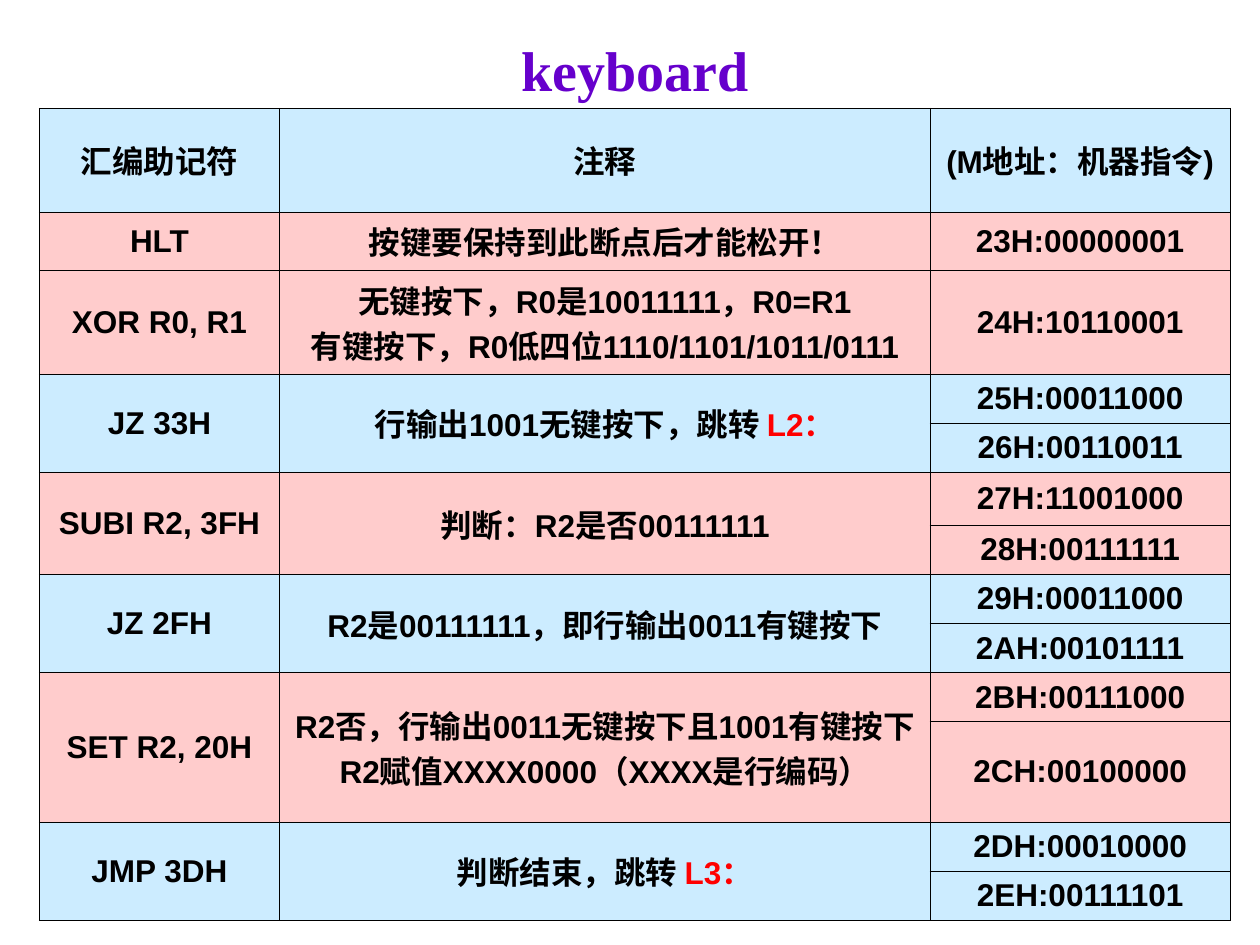
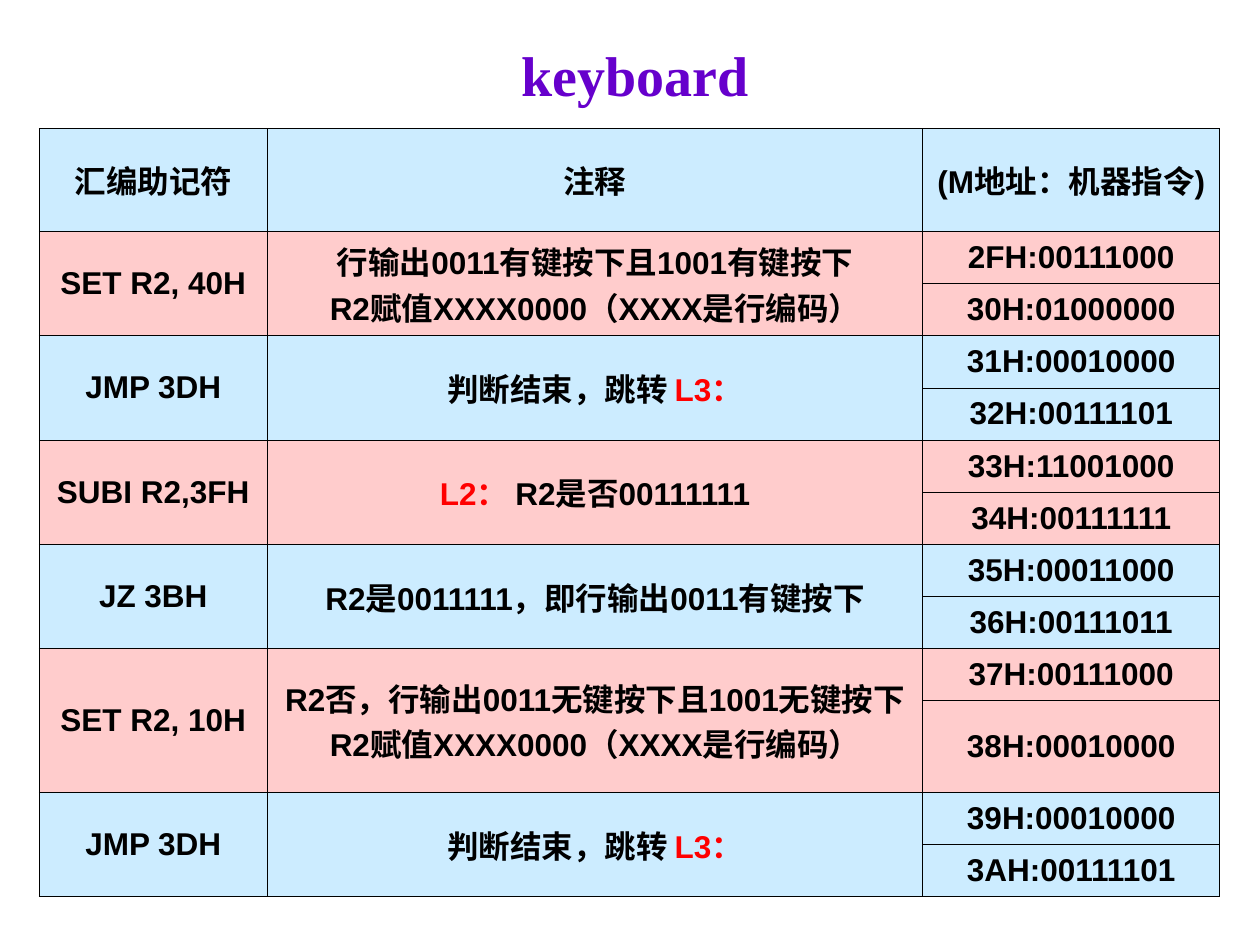
from dataclasses import dataclass, field
from typing import Any, NamedTuple

from lxml import etree
from pptx import Presentation
from pptx import util as u
from pptx.dml.color import RGBColor
from pptx.enum import text
from pptx.oxml import ns

BLACK = RGBColor(0x00, 0x00, 0x00)
RED = RGBColor(0xFF, 0x00, 0x00)
PURPLE = RGBColor(0x66, 0x00, 0xCC)
BLUE = RGBColor(0xCC, 0xEC, 0xFF)
PINK = RGBColor(0xFF, 0xCC, 0xCC)

TITLE_FONT = {"name": "Times New Roman", "size": u.Pt(32), "bold": True}
CODE_FONT = {"name": "Arial", "size": u.Pt(18), "bold": True}
TITLE_FRAME = {"word_wrap": True, "vertical_anchor": text.MSO_ANCHOR.MIDDLE}
PLAIN_TABLE = {"first_row": False, "horz_banding": False}
HANGING = {"marL": u.Cm(0.95), "indent": -u.Cm(0.95)}
BORDER_WIDTH = u.Pt(0.45)
LEFT = u.Cm(0.79)


class Span(NamedTuple):
    words: str
    color: RGBColor = BLACK


Line = tuple[Span, ...]


class Step(NamedTuple):
    mnemonic: str
    note: tuple[Line, ...]
    codes: tuple[str, ...]
    fill: RGBColor


@dataclass
class Listing:
    title_height: float
    top: float
    widths: tuple[float, ...]
    row_height: float
    steps: tuple[Step, ...]
    special_heights: dict[int, float] = field(default_factory=dict)


def plain(*lines: str) -> tuple[Line, ...]:
    return tuple((Span(line),) for line in lines)


HEADER = Step("汇编助记符", plain("注释"), ("(M地址：机器指令)",), BLUE)
FINISHED = ((Span("判断结束，跳转 "), Span("L3：", RED)),)
ASSIGN = "R2赋值XXXX0000（XXXX是行编码）"

LISTINGS = (
    Listing(
        title_height=1.19,
        top=2.18,
        widths=(4.85, 13.11, 6.05),
        row_height=0.99,
        special_heights={0: 2.08, 1: 1.17, 2: 2.08, 5: 1.07, 10: 1.83},
        steps=(
            HEADER,
            Step("HLT", plain("按键要保持到此断点后才能松开！"), ("23H:00000001",), PINK),
            Step("XOR R0, R1",
                 plain("无键按下，R0是10011111，R0=R1",
                       "有键按下，R0低四位1110/1101/1011/0111"),
                 ("24H:10110001",), PINK),
            Step("JZ 33H",
                 ((Span("行输出1001无键按下，跳转 "), Span("L2：", RED)),),
                 ("25H:00011000", "26H:00110011"), BLUE),
            Step("SUBI R2, 3FH", plain("判断：R2是否00111111"),
                 ("27H:11001000", "28H:00111111"), PINK),
            Step("JZ 2FH", plain("R2是00111111，即行输出0011有键按下"),
                 ("29H:00011000", "2AH:00101111"), BLUE),
            Step("SET R2, 20H",
                 plain("R2否，行输出0011无键按下且1001有键按下", ASSIGN),
                 ("2BH:00111000", "2CH:00100000"), PINK),
            Step("JMP 3DH", FINISHED, ("2DH:00010000", "2EH:00111101"), BLUE),
        ),
    ),
    Listing(
        title_height=1.4,
        top=2.59,
        widths=(4.6, 13.21, 5.99),
        row_height=1.05,
        special_heights={0: 2.08, 10: 1.85},
        steps=(
            HEADER,
            Step("SET R2, 40H",
                 plain("行输出0011有键按下且1001有键按下", ASSIGN),
                 ("2FH:00111000", "30H:01000000"), PINK),
            Step("JMP 3DH", FINISHED, ("31H:00010000", "32H:00111101"), BLUE),
            Step("SUBI R2,3FH",
                 ((Span("L2： ", RED), Span("R2是否00111111")),),
                 ("33H:11001000", "34H:00111111"), PINK),
            Step("JZ 3BH", plain("R2是0011111，即行输出0011有键按下"),
                 ("35H:00011000", "36H:00111011"), BLUE),
            Step("SET R2, 10H",
                 plain("R2否，行输出0011无键按下且1001无键按下", ASSIGN),
                 ("37H:00111000", "38H:00010000"), PINK),
            Step("JMP 3DH", FINISHED, ("39H:00010000", "3AH:00111101"), BLUE),
        ),
    ),
)


def apply(target: Any, values: dict[str, Any]) -> None:
    for name, value in values.items():
        setattr(target, name, value)


def write(frame: Any, lines: tuple[Line, ...], font: dict[str, Any]) -> None:
    for number, line in enumerate(lines):
        paragraph = frame.add_paragraph() if number else frame.paragraphs[0]
        paragraph.alignment = text.PP_ALIGN.CENTER
        for span in line:
            run = paragraph.add_run()
            run.text = span.words
            apply(run.font, font)
            run.font.color.rgb = span.color


def indent(frame: Any) -> None:
    for paragraph in frame.paragraphs:
        properties = paragraph._p.get_or_add_pPr()
        for name, length in HANGING.items():
            properties.set(name, str(length))


def style_cell(cell: Any, fill: RGBColor) -> None:
    properties = cell._tc.get_or_add_tcPr()
    for side in ("lnL", "lnR", "lnT", "lnB"):
        border = etree.SubElement(properties, ns.qn(f"a:{side}"), w=str(BORDER_WIDTH))
        solid = etree.SubElement(border, ns.qn("a:solidFill"))
        etree.SubElement(solid, ns.qn("a:srgbClr"), val=str(BLACK))
    cell.fill.solid()
    cell.fill.fore_color.rgb = fill
    cell.vertical_anchor = text.MSO_ANCHOR.MIDDLE


def fill_cell(cell: Any, lines: tuple[Line, ...]) -> None:
    write(cell.text_frame, lines, CODE_FONT)
    indent(cell.text_frame)


def draw_title(slide: Any, height: float) -> None:
    title = slide.shapes.add_textbox(u.Cm(0.99), LEFT, u.Cm(23.62), u.Cm(height))
    apply(title.text_frame, TITLE_FRAME)
    write(title.text_frame, ((Span("keyboard", PURPLE),),), TITLE_FONT)


def draw_listing(slide: Any, listing: Listing) -> None:
    row_count = sum(len(step.codes) for step in listing.steps)
    heights = [listing.special_heights.get(row, listing.row_height)
               for row in range(row_count)]
    table = slide.shapes.add_table(
        row_count, len(listing.widths), LEFT, u.Cm(listing.top),
        u.Cm(sum(listing.widths)), u.Cm(sum(heights))).table
    apply(table, PLAIN_TABLE)
    for column, width in zip(table.columns, listing.widths):
        column.width = u.Cm(width)
    for row, height in zip(table.rows, heights):
        row.height = u.Cm(height)

    first = 0
    for step in listing.steps:
        last = first + len(step.codes) - 1
        for row, code in enumerate(step.codes, first):
            for cell in table.rows[row].cells:
                style_cell(cell, step.fill)
            fill_cell(table.cell(row, 2), plain(code))
        for column, lines in enumerate((plain(step.mnemonic), step.note)):
            cell = table.cell(first, column)
            if last > first:
                cell.merge(table.cell(last, column))
            fill_cell(cell, lines)
        first = last + 1


def main() -> None:
    deck = Presentation()
    deck.slide_width, deck.slide_height = u.Cm(25.4), u.Cm(19.05)
    for listing in LISTINGS:
        slide = deck.slides.add_slide(deck.slide_layouts[6])
        draw_listing(slide, listing)
        draw_title(slide, listing.title_height)
    deck.save("out.pptx")


if __name__ == "__main__":
    main()
